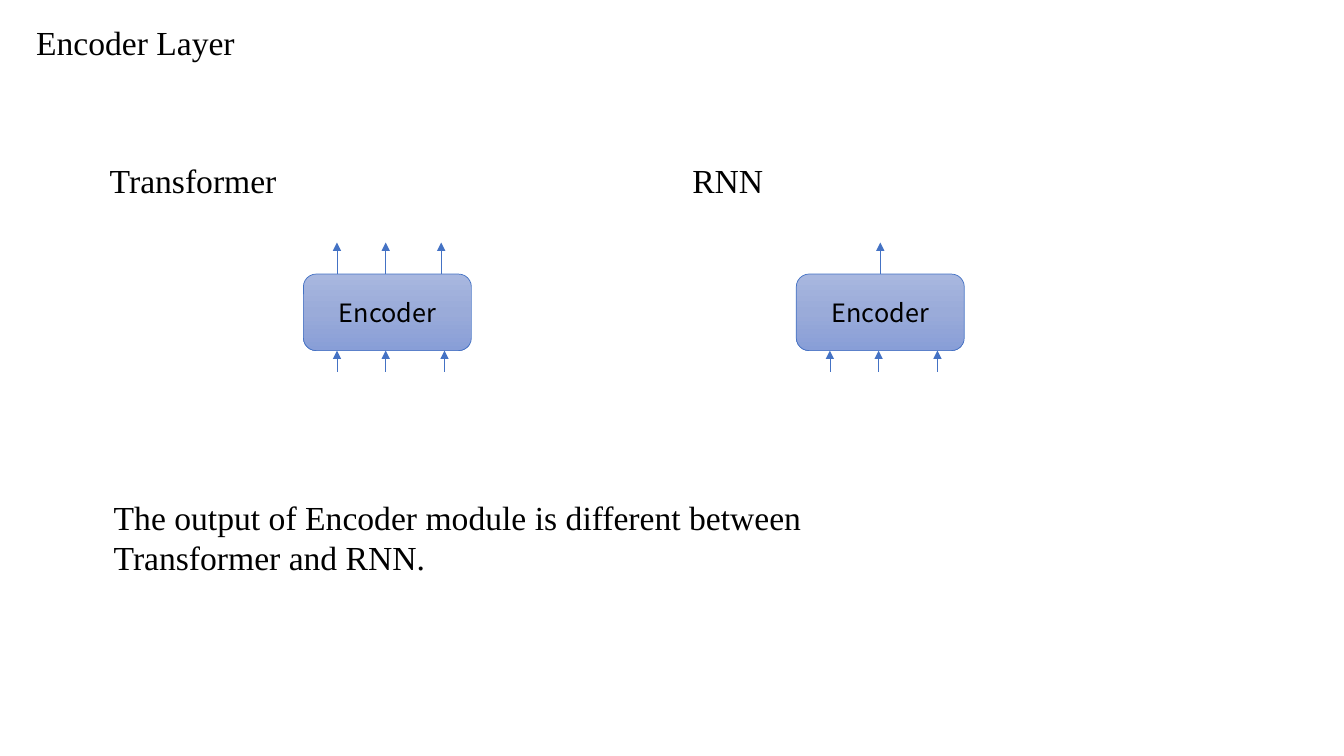
from copy import deepcopy
from dataclasses import dataclass

from lxml.etree import SubElement as Sub
from pptx import Presentation
from pptx.dml.color import RGBColor as Rgb
from pptx.enum.shapes import MSO_CONNECTOR as Link, MSO_SHAPE as Kind
from pptx.enum.text import MSO_ANCHOR as Anchor, MSO_AUTO_SIZE as Fit, PP_ALIGN as Align
from pptx.oxml.ns import qn
from pptx.util import Inches, Pt


@dataclass(frozen=True)
class Theme:
    """Colours, fonts and sizes of the slide."""
    ink: str = "000000"
    edge: str = "4472C4"
    fade: tuple = ("A8B7DF", "9AABD9", "889ED7")
    serif: str = "Times New Roman"
    sans: str = "Noto Sans CJK SC"
    big: int = 24
    mid: int = 18
    thin: float = 0.5


LOOK = Theme()
WIDE, HIGH = Inches(13.333), Inches(7.5)
COLS, ROWS = 40, 24


def grid(*cells):
    """Turn alternating columns and rows into slide lengths."""
    steps = WIDE / COLS, HIGH / ROWS
    return [round(n * steps[i % 2]) for i, n in enumerate(cells)]


def write(frame, text, font=LOOK.serif, size=LOOK.big, align=Align.LEFT):
    """Put formatted text in a frame."""
    frame.word_wrap = True
    para = frame.paragraphs[0]
    para.alignment = align
    run = para.add_run()
    run.text = text
    run.font.name, run.font.size = font, Pt(size)
    run.font.color.rgb = Rgb.from_string(LOOK.ink)


def label(slide, box, text, **style):
    """Add a text box that grows with its text."""
    frame = slide.shapes.add_textbox(*grid(*box)).text_frame
    write(frame, text, **style)
    frame.auto_size = Fit.SHAPE_TO_FIT_TEXT


def stroke(line):
    """Give a line the thin edge colour."""
    line.color.rgb = Rgb.from_string(LOOK.edge)
    line.width = Pt(LOOK.thin)


def arrow(slide, x, low, top):
    """Draw an upward arrow in column x."""
    link = slide.shapes.add_connector(Link.STRAIGHT, *grid(x, low, x, top))
    stroke(link.line)
    Sub(link.line._get_or_add_ln(), qn("a:tailEnd"), type="triangle")
    Sub(link._element.spPr, qn("a:effectLst"))


def shade(fill):
    """Fade a fill from top to bottom in three stops."""
    fill.gradient()
    fill.gradient_angle = 270
    first = fill.gradient_stops[0]._gs
    first.addnext(deepcopy(first))
    for i, (stop, tone) in enumerate(zip(fill.gradient_stops, LOOK.fade)):
        stop.position = i / 2
        stop.color.rgb = Rgb.from_string(tone)


def coder(slide, box, ins, outs):
    """Draw an encoder block with its input and output arrows."""
    x, y, w, h = box
    block = slide.shapes.add_shape(Kind.ROUNDED_RECTANGLE, *grid(*box))
    block.shadow.inherit = False
    shade(block.fill)
    stroke(block.line)
    block.text_frame.vertical_anchor = Anchor.MIDDLE
    write(block.text_frame, "Encoder", font=LOOK.sans, size=LOOK.mid, align=Align.CENTER)
    for dx in outs:
        arrow(slide, x + dx * w, y, y - 1)
    for dx in ins:
        arrow(slide, x + dx * w, y + h + 0.67, y + h)


def model(slide, box, name, outs):
    """Place a model name with its encoder below and to the right."""
    x, y, w, h = box
    label(slide, box, name)
    coder(slide, (x + w, y + 3.77, 5, 2.43), (0.2, 0.49, 0.84), outs)


def main():
    """Build and save the slide."""
    deck = Presentation()
    deck.slide_width, deck.slide_height = WIDE, HIGH
    slide = deck.slides.add_slide(deck.slide_layouts[6])
    label(slide, (0.78, 0.54, 9.39, 1.6), "Encoder Layer")
    model(slide, (2.97, 4.93, 6.06, 1.6), "Transformer", (0.2, 0.49, 0.82))
    model(slide, (20.31, 4.93, 3.39, 1.6), "RNN", (0.5,))
    label(slide, (3.09, 15.62, 21.06, 2.91),
          "The output of Encoder module is different between Transformer and RNN.",
          align=Align.JUSTIFY)
    deck.save("out.pptx")


if __name__ == "__main__":
    main()
